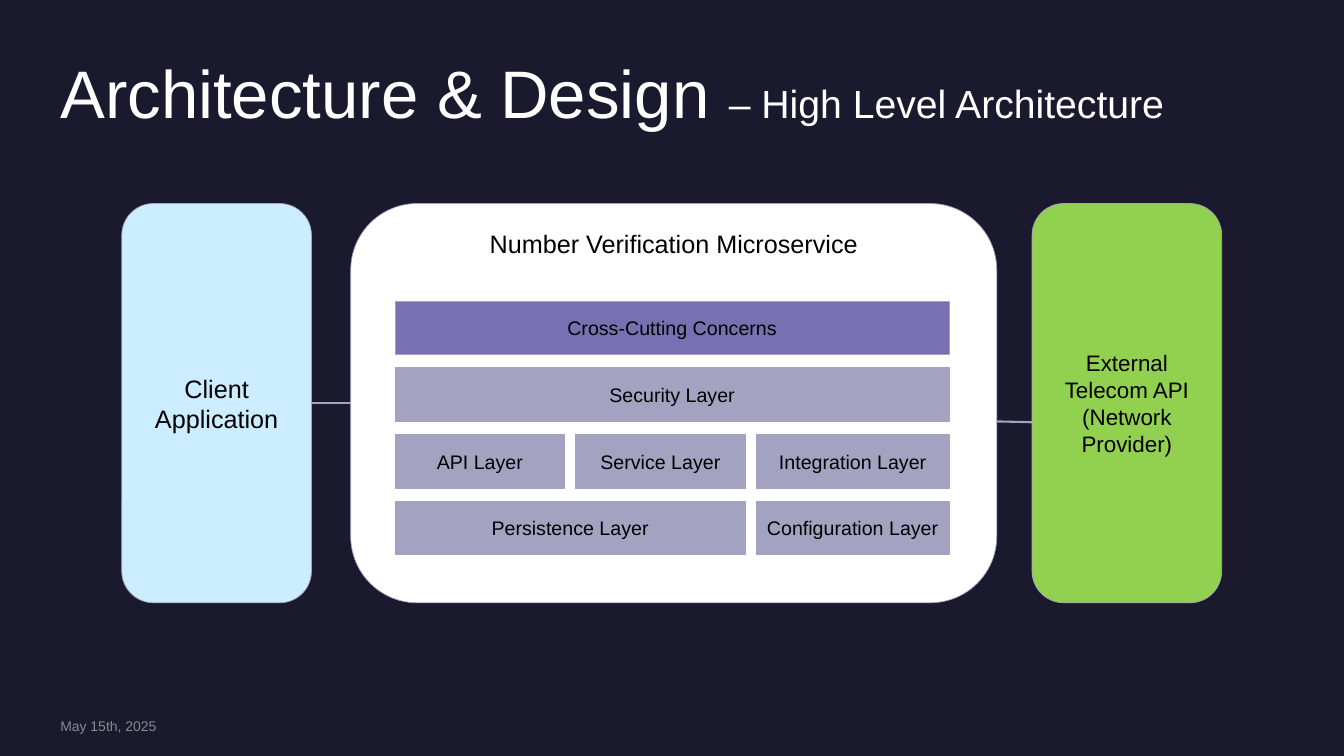
"""Build the high level architecture slide."""
from dataclasses import dataclass

from lxml.etree import SubElement
from pptx import Presentation
from pptx.dml.color import RGBColor as Rgb
from pptx.enum.shapes import MSO_CONNECTOR as Link, MSO_SHAPE as Form
from pptx.enum.text import MSO_ANCHOR as Anchor, MSO_AUTO_SIZE as Fit, PP_ALIGN as Align
from pptx.oxml.ns import qn
from pptx.util import Cm, Pt

DARK, WHITE, BLACK = "1B192E", "FFFFFF", "000000"
LILAC, PURPLE, SKY, GREEN, GREY = "A3A3C1", "7771B2", "CCECFF", "92D050", "A6A6A6"
TOP, TALL = 5.13, 10.06
LEFT, FIRST = 9.96, 7.59
STEP, PITCH = 4.55, 1.68
WIDE, LAST, HIGH = 4.27, 4.86, 1.35
FLUSH = {"margin_left": 0, "margin_top": 0, "margin_right": 0, "margin_bottom": 0,
         "word_wrap": True, "auto_size": Fit.NONE}


@dataclass
class Box:
    """A labelled block, measured in centimetres."""
    text: str
    x: float
    y: float
    w: float
    h: float
    fill: str
    size: int
    form: Form = Form.RECTANGLE
    anchor: Anchor = Anchor.MIDDLE


@dataclass
class Layer:
    """A cell of the layer grid, spanning one or more columns."""
    text: str
    row: int
    col: int
    span: int = 1
    fill: str = LILAC


def paint(target, code: str) -> None:
    """Make a fill solid in a hex colour."""
    target.solid()
    target.fore_color.rgb = Rgb.from_string(code)


def style(item, **values) -> None:
    """Set each given attribute on an object."""
    for name, value in values.items():
        setattr(item, name, value)


def ink(font, size: int, code: str) -> None:
    """Set the face, size and colour of a font."""
    style(font, name="Arial", size=Pt(size))
    paint(font.fill, code)


def write(para, text: str, size: int, code: str):
    """Add a formatted run and return it."""
    run = para.add_run()
    run.text = text
    ink(run.font, size, code)
    return run


def draw(slide, box: Box):
    """Draw a block with its centred label."""
    shape = slide.shapes.add_shape(box.form, Cm(box.x), Cm(box.y), Cm(box.w), Cm(box.h))
    shape.shadow.inherit = False
    paint(shape.fill, box.fill)
    paint(shape.line.fill, LILAC)
    shape.line.width = Pt(0.5)
    frame = shape.text_frame
    style(frame, text=box.text, word_wrap=True, vertical_anchor=box.anchor)
    for para in frame.paragraphs:
        para.alignment = Align.CENTER
        ink(para.runs[0].font, box.size, BLACK)
    return shape


def place(layer: Layer) -> Box:
    """Turn a grid cell into a block."""
    end = layer.col + layer.span - 1
    width = (layer.span - 1) * STEP + (LAST if end == 2 else WIDE)
    return Box(layer.text, LEFT + layer.col * STEP, FIRST + layer.row * PITCH,
               width, HIGH, layer.fill, 14)


def join(slide, x1: float, y1: float, x2: float, y2: float):
    """Draw a plain line between two points."""
    line = slide.shapes.add_connector(Link.STRAIGHT, Cm(x1), Cm(y1), Cm(x2), Cm(y2))
    paint(line.line.fill, LILAC)
    line.line.width = Pt(1.5)
    SubElement(line._element.spPr, qn("a:effectLst"))
    return line


def head(slide) -> None:
    """Fill the title placeholder."""
    title = slide.shapes.title
    style(title, left=Cm(1.52), top=Cm(1.52), width=Cm(30.84), height=Cm(2))
    style(title.text_frame, vertical_anchor=Anchor.TOP, **FLUSH)
    para = title.text_frame.paragraphs[0]
    style(para, alignment=Align.LEFT, line_spacing=0.9)
    write(para, "Architecture & Design ", 48, WHITE)
    write(para, "– High Level Architecture", 28, WHITE)


def date(slide) -> None:
    """Add the faded date at the foot."""
    frame = slide.shapes.add_textbox(Cm(1.52), Cm(18.08), Cm(7.32), Cm(0.43)).text_frame
    style(frame, vertical_anchor=Anchor.MIDDLE, **FLUSH)
    run = write(frame.paragraphs[0], "May 15th, 2025", 10, GREY)
    tint = run._r.find(".//" + qn("a:srgbClr"))
    SubElement(tint, qn("a:alpha"), val="80000")


def main() -> None:
    """Build and save the slide."""
    deck = Presentation()
    style(deck, slide_width=Cm(33.87), slide_height=Cm(19.05))
    slide = deck.slides.add_slide(deck.slide_layouts[5])
    paint(slide.background.fill, DARK)
    head(slide)
    date(slide)

    parts = [
        Box("Client Application", 3.07, TOP, 4.78, TALL, SKY, 18, Form.ROUNDED_RECTANGLE),
        Box("Number Verification Microservice", 8.84, TOP, 16.28, TALL, WHITE, 18,
            Form.ROUNDED_RECTANGLE, Anchor.TOP),
        Box("External Telecom API\n(Network Provider)", 26.01, TOP, 4.78, TALL, GREEN, 16,
            Form.ROUNDED_RECTANGLE),
    ]
    client, core, _ = [draw(slide, part) for part in parts]

    mid = TOP + TALL / 2
    link = join(slide, 8.84, mid, 7.85, mid)
    link.begin_connect(core, 1)
    link.end_connect(client, 3)
    join(slide, 26.01, 10.64, 25.12, 10.62)

    layers = [
        Layer("Cross-Cutting Concerns", 0, 0, 3, PURPLE),
        Layer("Security Layer", 1, 0, 3),
        Layer("API Layer", 2, 0),
        Layer("Service Layer", 2, 1),
        Layer("Integration Layer", 2, 2),
        Layer("Persistence Layer", 3, 0, 2),
        Layer("Configuration Layer", 3, 2),
    ]
    for layer in layers:
        draw(slide, place(layer))
    deck.save("out.pptx")


if __name__ == "__main__":
    main()
